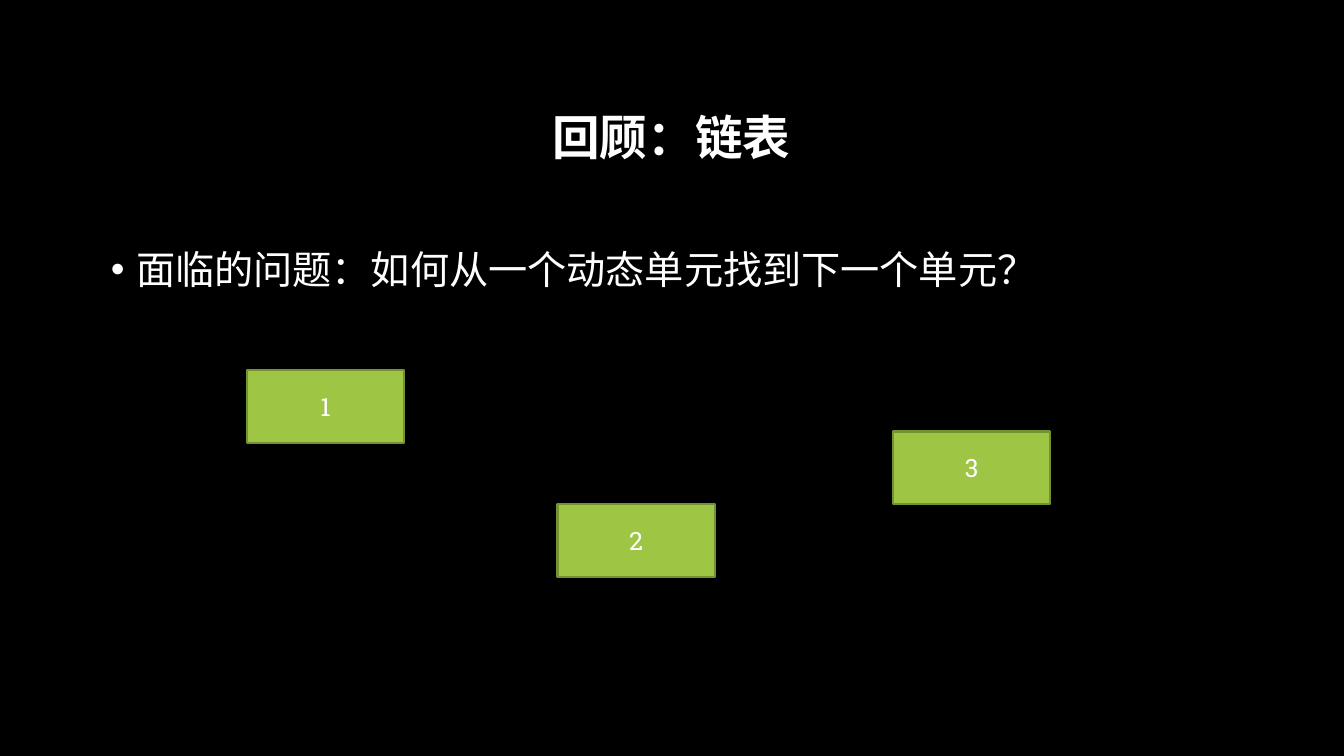
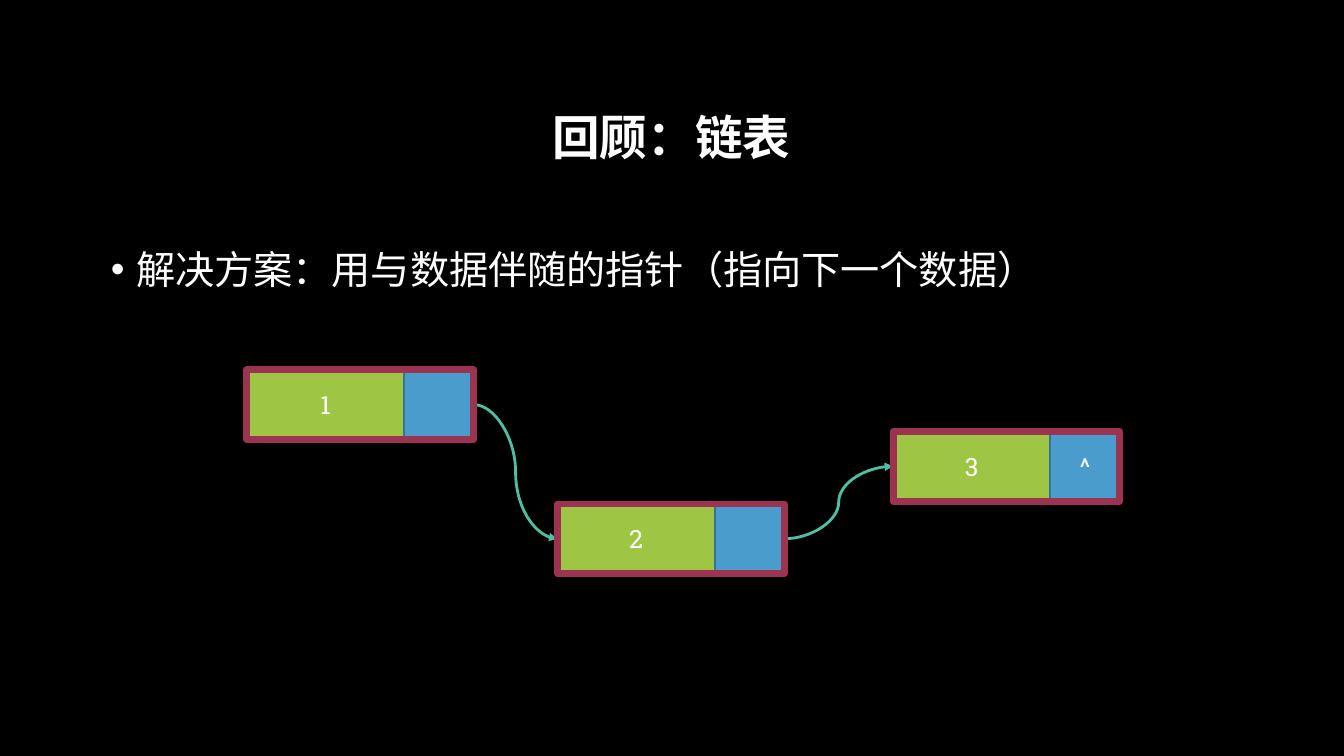
from pptx import Presentation
from pptx.dml.color import RGBColor
from pptx.enum.shapes import MSO_CONNECTOR, MSO_SHAPE
from pptx.enum.text import MSO_ANCHOR, MSO_AUTO_SIZE, PP_ALIGN
from pptx.oxml.ns import qn
from pptx.util import Pt
from lxml.etree import SubElement

SPOTS = [(176.4, 264.2), (398.2, 360), (637.9, 308.2)]
WIDE = 112.3
SIDE = 49.7


class Deck:
    hues = {
        "back": "000000", "text": "FFFFFF",
        "data": "9EC544", "data edge": "759232",
        "link": "4A9CCC", "link edge": "377397",
        "arrow": "50BEA3", "frame": "9C3351",
    }
    serif = "Roboto Slab"
    mono = "Noto Sans Mono"

    def __init__(self):
        self.deck = Presentation()
        self.deck.slide_width = Pt(960)
        self.deck.slide_height = Pt(540)
        fill = self.deck.slide_master.background.fill
        fill.solid()
        fill.fore_color.rgb = self.hue("back")
        self.slide = None

    def hue(self, name):
        return RGBColor.from_string(self.hues[name])

    def add_run(self, para, text, size, face, bold=False):
        run = para.add_run()
        run.text = text
        font = run.font
        font.size = Pt(size)
        font.name = face
        font.bold = bold
        font.color.rgb = self.hue("text")
        SubElement(run._r.get_or_add_rPr(), qn("a:ea"), typeface=face)

    def place(self, holder, top, high, anchor):
        holder.left, holder.top = Pt(72), Pt(top)
        holder.width, holder.height = Pt(815), Pt(high)
        frame = holder.text_frame
        frame.auto_size = MSO_AUTO_SIZE.NONE
        frame.vertical_anchor = anchor
        return frame.paragraphs[0]

    def start(self, title, point):
        self.slide = self.deck.slides.add_slide(self.deck.slide_layouts[1])
        self.title(title)
        self.point(point)

    def title(self, text):
        para = self.place(self.slide.shapes.title, 48, 104.5, MSO_ANCHOR.MIDDLE)
        para.alignment = PP_ALIGN.CENTER
        para.line_spacing = 0.9
        self.add_run(para, text, 34, self.serif, True)

    def point(self, text):
        para = self.place(self.slide.placeholders[1], 165, 291, MSO_ANCHOR.TOP)
        props = para._p.get_or_add_pPr()
        props.set("marL", str(Pt(18)))
        props.set("indent", str(-Pt(18)))
        SubElement(props, qn("a:buChar"), char="•")
        para.line_spacing = 1.2
        para.space_before = Pt(0)
        self.add_run(para, text, 28, self.mono)

    def box(self, left, top, wide, high, edge, weight, fill=None):
        shape = self.slide.shapes.add_shape(
            MSO_SHAPE.RECTANGLE, Pt(left), Pt(top), Pt(wide), Pt(high))
        shape.shadow.inherit = False
        if fill:
            shape.fill.solid()
            shape.fill.fore_color.rgb = self.hue(fill)
        else:
            shape.fill.background()
        shape.line.color.rgb = self.hue(edge)
        shape.line.width = Pt(weight)
        return shape

    def cell(self, left, top, wide, high, kind, text=""):
        shape = self.box(left, top, wide, high, kind + " edge", 1.5, kind)
        if text:
            shape.text_frame.vertical_anchor = MSO_ANCHOR.MIDDLE
            para = shape.text_frame.paragraphs[0]
            para.alignment = PP_ALIGN.CENTER
            self.add_run(para, text, 18, self.serif)
        return shape

    def row(self, high):
        return [self.cell(left, top, WIDE, high, "data", str(num))
                for num, (left, top) in enumerate(SPOTS, 1)]

    def arrow(self, source, target):
        curve = self.slide.shapes.add_connector(MSO_CONNECTOR.CURVE, 0, 0, 0, 0)
        curve.begin_connect(source, 3)
        curve.end_connect(target, 1)
        curve.line.color.rgb = self.hue("arrow")
        curve.line.width = Pt(2)
        props = curve._element.spPr
        SubElement(props.find(qn("a:ln")), qn("a:tailEnd"), type="triangle")
        SubElement(props, qn("a:effectLst"))

    def save(self):
        self.deck.save("out.pptx")


def main():
    deck = Deck()
    title = "回顾：链表"

    deck.start(title, "面临的问题：如何从一个动态单元找到下一个单元？")
    deck.row(52)

    deck.start(title, "解决方案：用与数据伴随的指针（指向下一个数据）")
    data = deck.row(SIDE)
    links = [deck.cell(left + WIDE, top, SIDE, SIDE, "link", mark)
             for (left, top), mark in zip(SPOTS, ["", "", "^"])]
    for link, after in zip(links, data[1:]):
        deck.arrow(link, after)
    for left, top in SPOTS:
        deck.box(left, top, WIDE + SIDE, SIDE, "frame", 5)

    deck.save()


if __name__ == "__main__":
    main()
